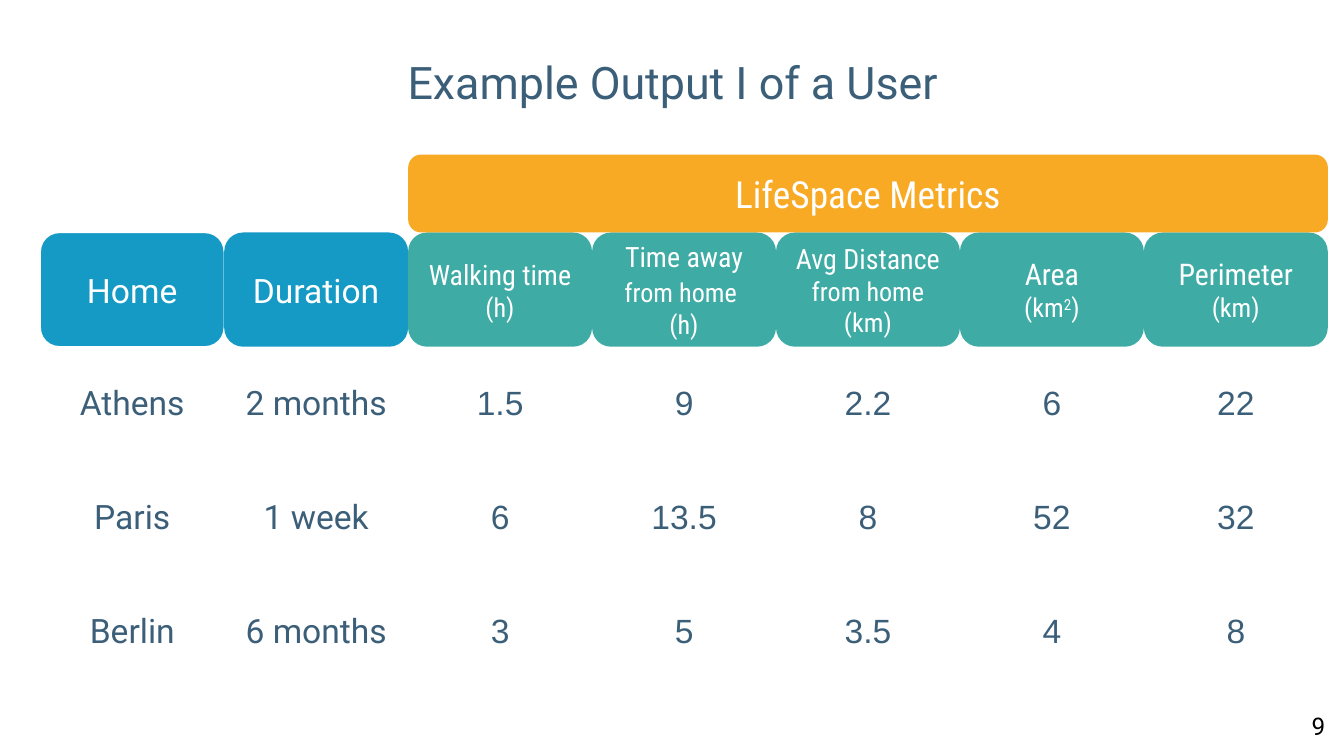
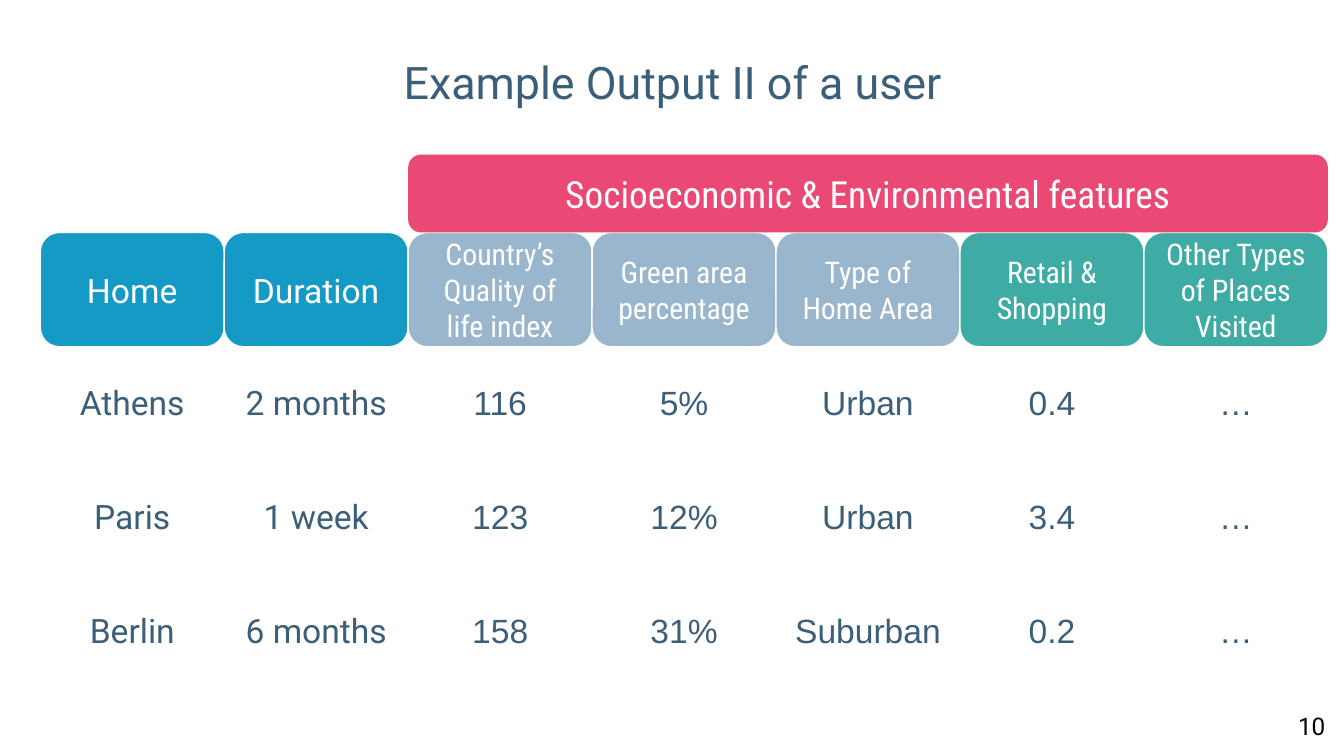
from lxml.etree import SubElement
from pptx import Presentation
from pptx.dml.color import RGBColor
from pptx.enum.shapes import MSO_SHAPE
from pptx.enum.text import MSO_ANCHOR, MSO_AUTO_SIZE, PP_ALIGN
from pptx.oxml.ns import qn
from pptx.util import Inches, Pt

WHITE, BLACK, NAVY = "FFFFFF", "000000", "3C5F79"
BLUE, TEAL, GREY = "159AC6", "3FABA5", "99B6CC"
ORANGE, PINK = "F8AA25", "E94974"
ROBOTO, CONDENSED, ARIAL = "Roboto", "Roboto Condensed", "Arial"

LEFT, RIGHT, TOP, ROW_H = 0.3, 9.88, 1.73, 0.85
COL_W = (RIGHT - LEFT) / 7
BAND_TOP, BAND_H = 1.15, 0.58
KEY_HEADERS = ["Home", "Duration"]
STAYS = [("Athens", "2 months"), ("Paris", "1 week"), ("Berlin", "6 months")]

SLIDES = [
    {
        "title": "Example Output I of a User",
        "number": "9",
        "band": ("LifeSpace Metrics", ORANGE),
        "outlined": {"Home"},
        "headers": [
            ([[("Walking time", 15), (" ", 16)], [("(h)", 14)]], TEAL),
            ([[("Time away ", 15), ("from home", 14), (" ", 16)], [("(h)", 14)]], TEAL),
            ([[("Avg Distance ", 15), ("from home (km)", 14)]], TEAL),
            ([[("Area", 16)], [("(km", 14), ("2", 14, 30), (")", 14)]], TEAL),
            ([[("Perimeter", 16)], [("(km)", 14)]], TEAL),
        ],
        "values": [
            ("1.5", "9", "2.2", "6", "22"),
            ("6", "13.5", "8", "52", "32"),
            ("3", "5", "3.5", "4", "8"),
        ],
    },
    {
        "title": "Example Output II of a user",
        "number": "10",
        "band": ("Socioeconomic & Environmental features", PINK),
        "outlined": {"Home", "Duration", "headers"},
        "headers": [
            ([[("Country’s Quality of life index", 16)]], GREY),
            ([[("Green area percentage", 16)]], GREY),
            ([[("Type of Home Area", 16)]], GREY),
            ([[("Retail & Shopping", 16)]], TEAL),
            ([[("Other Types of Places Visited", 16)]], TEAL),
        ],
        "values": [
            ("116", "5%", "Urban", "0.4", "…"),
            ("123", "12%", "Urban", "3.4", "…"),
            ("158", "31%", "Suburban", "0.2", "…"),
        ],
    },
]


def rgb(value):
    """Turn a hex string into a colour."""
    return RGBColor.from_string(value)


def write(tf, paragraphs, font, color, align=PP_ALIGN.CENTER):
    """Fill a text frame with paragraphs of (text, size, raise) runs."""
    for i, runs in enumerate(paragraphs):
        p = tf.add_paragraph() if i else tf.paragraphs[0]
        p.alignment = align
        p.font.name = font
        p.font.color.rgb = rgb(color)
        sizes = {size for _, size, *_ in runs}
        if len(sizes) == 1:
            p.font.size = Pt(sizes.pop())
        for text, size, *rise in runs:
            r = p.add_run()
            r.text = text
            if p.font.size is None:
                r.font.size = Pt(size)
            if rise:
                r._r.get_or_add_rPr().set("baseline", str(rise[0] * 1000))


def set_frame(tf, anchor=MSO_ANCHOR.MIDDLE):
    """Give a text frame the shared insets, wrapping and anchor."""
    tf.word_wrap = True
    tf.auto_size = MSO_AUTO_SIZE.NONE
    tf.vertical_anchor = anchor
    tf.margin_left = tf.margin_right = tf.margin_top = tf.margin_bottom = Inches(0.1)


def add_title(s, text):
    """Place and format the title placeholder."""
    sp = s.shapes.title
    sp.left, sp.top, sp.width, sp.height = map(Inches, (2.33, 0.4, 5.35, 0.42))
    sp.fill.solid()
    sp.fill.fore_color.rgb = rgb(WHITE)
    set_frame(sp.text_frame)
    write(sp.text_frame, [[(text, 24)]], ROBOTO, NAVY)


def add_box(s, box, fill, paragraphs, font, outlined=False):
    """Add a rounded heading box."""
    sp = s.shapes.add_shape(MSO_SHAPE.ROUNDED_RECTANGLE, *map(Inches, box))
    sp.shadow.inherit = False
    sp.fill.solid()
    sp.fill.fore_color.rgb = rgb(fill)
    if outlined:
        sp.line.color.rgb = rgb(WHITE)
        sp.line.width = Pt(0.75)
    else:
        sp.line.fill.background()
    set_frame(sp.text_frame)
    write(sp.text_frame, paragraphs, font, WHITE)


def format_cell(cell):
    """Clear the fill of a cell and give it thin white borders."""
    cell.vertical_anchor = MSO_ANCHOR.MIDDLE
    cell.margin_left = cell.margin_right = Inches(0.1)
    cell.margin_top = cell.margin_bottom = Inches(0.1)
    tcPr = cell._tc.get_or_add_tcPr()
    for side in ("a:lnL", "a:lnR", "a:lnT", "a:lnB"):
        ln = SubElement(tcPr, qn(side), w=str(Pt(0.75)))
        SubElement(SubElement(ln, qn("a:solidFill")), qn("a:srgbClr"), val=WHITE)
    cell.fill.background()


def add_values(s, values):
    """Add the table, whose first row lies under the heading boxes."""
    rows = [stay + row for stay, row in zip(STAYS, values)]
    n_rows, n_cols = len(rows) + 1, len(rows[0])
    box = LEFT, TOP, n_cols * COL_W, n_rows * ROW_H
    table = s.shapes.add_table(n_rows, n_cols, *map(Inches, box)).table
    table.first_row = table.horz_banding = False
    for cell in table.iter_cells():
        format_cell(cell)
    for i, row in enumerate(rows, 1):
        for j, text in enumerate(row):
            font = ROBOTO if j < len(KEY_HEADERS) else ARIAL
            write(table.cell(i, j).text_frame, [[(text, 18)]], font, NAVY)


def add_headings(s, data):
    """Add the column headings and the band above the metrics."""
    outlined = data["outlined"]
    boxes = [([[(t, 18)]], BLUE, ROBOTO, t in outlined) for t in KEY_HEADERS]
    boxes += [(paras, fill, CONDENSED, "headers" in outlined)
              for paras, fill in data["headers"]]
    for i, (paras, fill, font, line) in enumerate(boxes):
        add_box(s, (LEFT + i * COL_W, TOP, COL_W, ROW_H), fill, paras, font, line)
    text, fill = data["band"]
    box = (LEFT + len(KEY_HEADERS) * COL_W, BAND_TOP,
           len(data["headers"]) * COL_W, BAND_H)
    add_box(s, box, fill, [[(text, 20)]], CONDENSED)


def add_number(s, text):
    """Add the slide number at the bottom right."""
    tf = s.shapes.add_textbox(*map(Inches, (9.36, 5.19, 0.6, 0.43))).text_frame
    set_frame(tf, MSO_ANCHOR.TOP)
    write(tf, [[(text, 13)]], ROBOTO, BLACK, PP_ALIGN.RIGHT)


def main():
    """Build the slides and save them."""
    prs = Presentation()
    prs.slide_width = Inches(10)
    prs.slide_height = prs.slide_width * 9 // 16
    for data in SLIDES:
        s = prs.slides.add_slide(prs.slide_layouts[5])
        add_title(s, data["title"])
        add_values(s, data["values"])
        add_headings(s, data)
        add_number(s, data["number"])
    prs.save("out.pptx")


if __name__ == "__main__":
    main()
